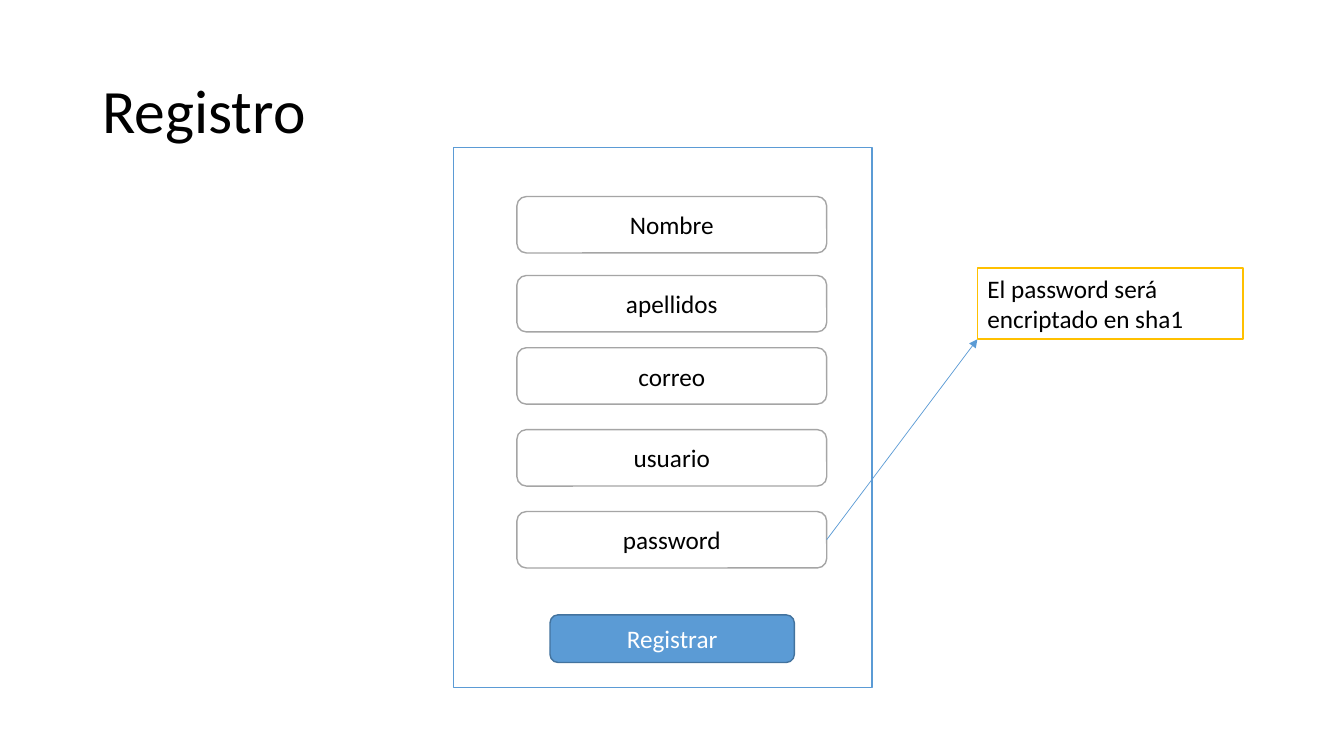
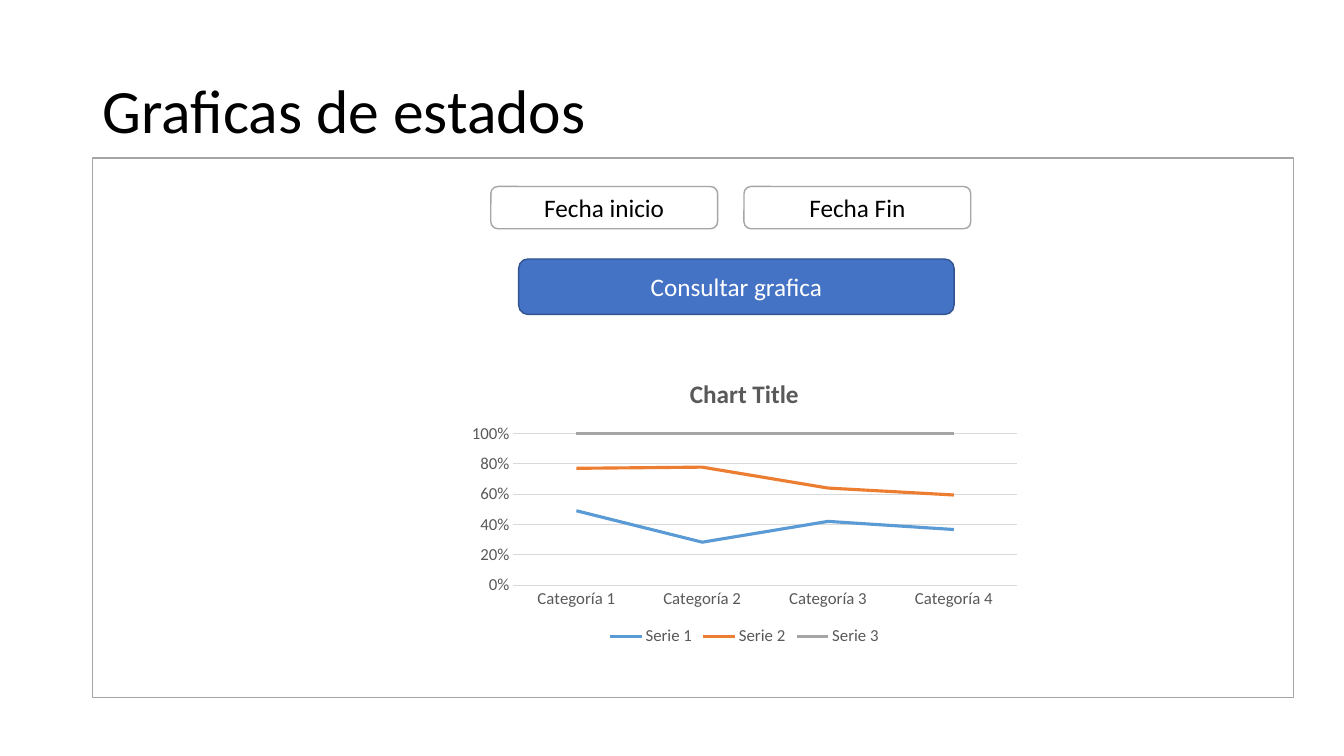
"""Builds two mock-up slides: a registration form and a state chart."""
from dataclasses import dataclass

from lxml import etree
from pptx import Presentation
from pptx.chart import data as chart_data
from pptx.dml import color as dml_color
from pptx.enum import chart as chart_enum, shapes, text
from pptx.oxml import ns
from pptx.util import Pt


@dataclass(frozen=True)
class Theme:
    """Colours, font and type sizes of the presentation."""
    font: str = "Calibri"
    black: str = "000000"
    white: str = "FFFFFF"
    gray: str = "A5A5A5"
    blue: str = "5B9BD5"
    blue_edge: str = "43739E"
    royal: str = "4472C4"
    royal_edge: str = "325491"
    gold: str = "FFC000"
    orange: str = "ED7D31"
    chart_text: str = "595959"
    grid: str = "D9D9D9"
    title_size: int = 44
    body_size: int = 18
    label_size: int = 12


THEME = Theme()
RECTANGLE = shapes.MSO_SHAPE.RECTANGLE
ROUNDED = shapes.MSO_SHAPE.ROUNDED_RECTANGLE


def rgb(value):
    """Returns the colour object for a hexadecimal value."""
    return dml_color.RGBColor.from_string(value)


def format_font(font, size, color):
    """Sets the typeface, size and colour of a font."""
    font.name = THEME.font
    font.size = Pt(size)
    font.color.rgb = rgb(color)


def format_line(line, color, width):
    """Sets the colour and width of a line."""
    line.color.rgb = rgb(color)
    line.width = Pt(width)


def write_text(frame, content, size=THEME.body_size, color=THEME.black,
               align=text.PP_ALIGN.CENTER, anchor=text.MSO_ANCHOR.MIDDLE,
               spacing=None):
    """Writes one formatted paragraph into a text frame."""
    frame.word_wrap = True
    frame.auto_size = text.MSO_AUTO_SIZE.NONE
    frame.vertical_anchor = anchor
    paragraph = frame.paragraphs[0]
    paragraph.alignment = align
    paragraph.line_spacing = spacing
    run = paragraph.add_run()
    run.text = content
    format_font(run.font, size, color)


def add_titled_slide(presentation, title):
    """Adds a slide whose title placeholder holds the given text."""
    slide = presentation.slides.add_slide(presentation.slide_layouts[5])
    shape = slide.shapes.title
    shape.left, shape.top, shape.width, shape.height = map(Pt, (66, 28.8, 828, 104.4))
    write_text(shape.text_frame, title, size=THEME.title_size,
               align=text.PP_ALIGN.LEFT, spacing=0.9)
    return slide


def add_box(slide, kind, bounds, fill=THEME.white, edge=THEME.gray,
            content=None, **text_format):
    """Adds a filled and outlined shape, with text if there is any."""
    shape = slide.shapes.add_shape(kind, *map(Pt, bounds))
    shape.shadow.inherit = False
    shape.fill.solid()
    shape.fill.fore_color.rgb = rgb(fill)
    format_line(shape.line, edge, 1)
    if content:
        write_text(shape.text_frame, content, **text_format)
    return shape


def add_arrow(slide, source, end_x, end_y):
    """Adds an arrow from the right side of a shape to a point."""
    arrow = slide.shapes.add_connector(
        shapes.MSO_CONNECTOR.STRAIGHT, 0, 0, Pt(end_x), Pt(end_y))
    arrow.begin_connect(source, 3)
    format_line(arrow.line, THEME.blue, 0.5)
    etree.SubElement(arrow.line._get_or_add_ln(), ns.qn("a:tailEnd"), type="triangle")
    etree.SubElement(arrow._element.spPr, ns.qn("a:effectLst"))


def add_line_chart(slide, bounds, title, categories, series):
    """Adds a 100 % stacked line chart from (name, values, colour) rows."""
    table = chart_data.CategoryChartData()
    table.categories = categories
    for name, values, _ in series:
        table.add_series(name, values)
    chart = slide.shapes.add_chart(
        chart_enum.XL_CHART_TYPE.LINE_STACKED_100, *map(Pt, bounds), table).chart
    format_font(chart.font, THEME.label_size, THEME.chart_text)

    chart.has_title = True
    write_text(chart.chart_title.text_frame, title, color=THEME.chart_text)
    chart.chart_title.include_in_layout = False
    chart.has_legend = True
    chart.legend.position = chart_enum.XL_LEGEND_POSITION.BOTTOM
    chart.legend.include_in_layout = False
    format_font(chart.legend.font, THEME.label_size, THEME.chart_text)

    for axis in (chart.category_axis, chart.value_axis):
        axis.major_tick_mark = chart_enum.XL_TICK_MARK.NONE
        axis.minor_tick_mark = chart_enum.XL_TICK_MARK.NONE
        format_font(axis.tick_labels.font, THEME.label_size, THEME.chart_text)
    format_line(chart.category_axis.format.line, THEME.grid, 0.75)
    chart.value_axis.format.line.fill.background()
    chart.value_axis.has_major_gridlines = True
    format_line(chart.value_axis.major_gridlines.format.line, THEME.grid, 0.75)
    chart.value_axis.tick_labels.number_format = "0%"
    chart.value_axis.tick_labels.number_format_is_linked = False

    plot = chart.plots[0]
    plot.vary_by_categories = False
    for line, (_, _, color) in zip(plot.series, series):
        line.smooth = False
        format_line(line.format.line, color, 2.25)


def build_registration(presentation):
    """Builds the form slide with its note on the password."""
    slide = add_titled_slide(presentation, "Registro")
    add_box(slide, RECTANGLE, (324, 105.4, 298.8, 385.9), edge=THEME.blue)
    fields = (("Nombre", 140.4), ("apellidos", 196.8), ("correo", 248.4),
              ("usuario", 306.9), ("password", 365.4))
    for label, top in fields:
        field = add_box(slide, ROUNDED, (369.2, top, 221.3, 40.3), content=label)
    add_box(slide, ROUNDED, (392.9, 439.2, 174.5, 34), fill=THEME.blue,
            edge=THEME.blue_edge, content="Registrar", color=THEME.white)
    note_left, note_top, note_height = 698.2, 191.4, 50.9
    add_arrow(slide, field, note_left, note_top + note_height)
    add_box(slide, RECTANGLE, (note_left, note_top, 189.6, note_height),
            edge=THEME.gold, content="El password será encriptado en sha1",
            align=text.PP_ALIGN.LEFT, anchor=text.MSO_ANCHOR.TOP)


def build_state_chart(presentation):
    """Builds the slide with the date filters and the chart."""
    slide = add_titled_slide(presentation, "Graficas de estados")
    add_box(slide, RECTANGLE, (66, 113, 858.2, 385.2))
    for label, left in (("Fecha inicio", 350.6), ("Fecha Fin", 531.4)):
        add_box(slide, ROUNDED, (left, 133.2, 162, 30.2), content=label)
    add_box(slide, ROUNDED, (370.5, 185, 311, 39.6), fill=THEME.royal,
            edge=THEME.royal_edge, content="Consultar grafica", color=THEME.white)
    add_line_chart(
        slide, (329, 257.8, 405.4, 206.6), "Chart Title",
        [f"Categoría {number}" for number in range(1, 5)],
        (("Serie 1", (49, 28, 42, 37), THEME.blue),
         ("Serie 2", (28, 49, 22, 23), THEME.orange),
         ("Serie 3", (23, 22, 36, 41), THEME.gray)))


def main():
    """Builds and saves the presentation."""
    presentation = Presentation()
    presentation.slide_width, presentation.slide_height = Pt(960), Pt(540)
    build_registration(presentation)
    build_state_chart(presentation)
    presentation.save("out.pptx")


main()
